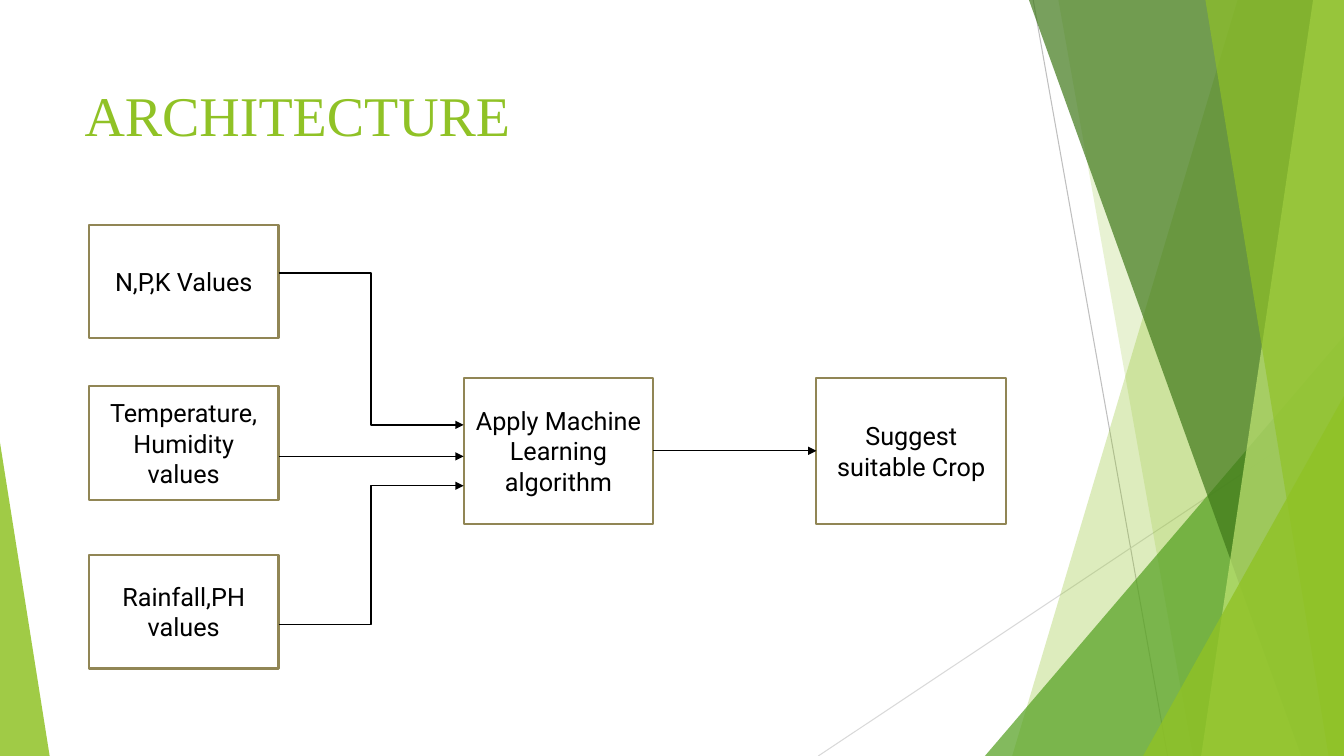
from lxml import etree
from pptx import Presentation
from pptx.dml.color import RGBColor
from pptx.enum.shapes import MSO_CONNECTOR, MSO_SHAPE
from pptx.enum.text import MSO_ANCHOR, PP_ALIGN
from pptx.oxml.ns import qn
from pptx.util import Pt

STRAIGHT, ELBOW = MSO_CONNECTOR.STRAIGHT, MSO_CONNECTOR.ELBOW
RECTANGLE = MSO_SHAPE.RECTANGLE
TOP, MIDDLE = MSO_ANCHOR.TOP, MSO_ANCHOR.MIDDLE
LEFT, CENTER = PP_ALIGN.LEFT, PP_ALIGN.CENTER

WHITE = RGBColor(0xFF, 0xFF, 0xFF)
BLACK = RGBColor(0x00, 0x00, 0x00)
LIME = RGBColor(0x90, 0xC2, 0x26)
GREEN = RGBColor(0x54, 0xA0, 0x21)
FOREST = RGBColor(0x3F, 0x78, 0x19)
PALE_LIME = RGBColor(0xC0, 0xE4, 0x74)
OLIVE = RGBColor(0x91, 0x86, 0x55)
GRAY = RGBColor(0xBF, 0xBF, 0xBF)
LIGHT_GRAY = RGBColor(0xD9, 0xD9, 0xD9)

WIDTH, HEIGHT = 960, 540
TITLE = "ARCHITECTURE"
TITLE_FONT = {"name": "Times New Roman", "size": Pt(40)}
BOX_FONT = {"name": "Roboto", "size": Pt(18)}

HAIRLINES = [
    ((738, 0), (834, HEIGHT), GRAY),
    ((WIDTH, 290), (584.5, HEIGHT), LIGHT_GRAY),
]
RIGHT_FACETS = [
    (884, 0, 723, LIME, 30),
    (756, 0, 852, LIME, 20),
    (WIDTH, 240, 703.5, GREEN, 72),
    (735, 0, 929.5, FOREST, 70),
    (938, 0, 858, PALE_LIME, 70),
    (861, 0, 949, LIME, 65),
    (WIDTH, 283, 816.5, LIME, 80),
]
LEFT_FACET = [(0, 316), (35.5, HEIGHT), (0, HEIGHT)]

BOX_WIDTH, INPUT_HEIGHT, STAGE_HEIGHT = 135.5, 81, 104
INPUT_LEFT, STAGE_TOP = 63.5, 270
INPUTS = [
    ("N,P,K Values", 160.5, 195, 303.5, ELBOW),
    ("Temperature, Humidity values", 276, 326, 326, STRAIGHT),
    ("Rainfall,PH values", 396.5, 446, 347, ELBOW),
]
STAGES = [
    ("Apply Machine Learning algorithm", 331.2),
    ("Suggest suitable Crop", 583.2),
]


def add_line(slide, kind, start, end, color, width, arrow=False):
    line = slide.shapes.add_connector(kind, *(Pt(value) for value in start + end))
    line.line.color.rgb = color
    line.line.width = Pt(width)
    if arrow:
        etree.SubElement(line.line._get_or_add_ln(), qn("a:tailEnd"), type="triangle")
    etree.SubElement(line._element.spPr, qn("a:effectLst"))
    return line


def add_facet(slide, points, color, opacity):
    corners = [(Pt(x), Pt(y)) for x, y in points]
    builder = slide.shapes.build_freeform(*corners[0])
    builder.add_line_segments(corners[1:], close=True)
    facet = builder.convert_to_shape()
    facet.shadow.inherit = False
    facet.fill.solid()
    facet.fill.fore_color.rgb = color
    facet.line.fill.background()
    color_element = facet._element.spPr.find(qn("a:solidFill"))[0]
    etree.SubElement(color_element, qn("a:alpha"), val=str(opacity * 1000))


def write_text(shape, text, font, color, alignment, anchor):
    frame = shape.text_frame
    frame.word_wrap = True
    frame.vertical_anchor = anchor
    paragraph = frame.paragraphs[0]
    paragraph.alignment = alignment
    run = paragraph.add_run()
    run.text = text
    for name, value in font.items():
        setattr(run.font, name, value)
    run.font.color.rgb = color


def add_box(slide, text, left, top, height):
    box = slide.shapes.add_shape(RECTANGLE, Pt(left), Pt(top), Pt(BOX_WIDTH), Pt(height))
    box.shadow.inherit = False
    box.fill.solid()
    box.fill.fore_color.rgb = WHITE
    box.line.color.rgb = OLIVE
    box.line.width = Pt(1.5)
    write_text(box, text, BOX_FONT, BLACK, CENTER, MIDDLE)
    return box


def main():
    presentation = Presentation()
    presentation.slide_width, presentation.slide_height = Pt(WIDTH), Pt(HEIGHT)
    slide = presentation.slides.add_slide(presentation.slide_layouts[6])

    for start, end, color in HAIRLINES:
        add_line(slide, STRAIGHT, start, end, color, 0.75)
    for top_x, top_y, bottom_x, color, opacity in RIGHT_FACETS:
        points = [(top_x, top_y), (WIDTH, top_y), (WIDTH, HEIGHT), (bottom_x, HEIGHT)]
        add_facet(slide, list(dict.fromkeys(points)), color, opacity)
    add_facet(slide, LEFT_FACET, LIME, 85)

    title = slide.shapes.add_textbox(Pt(53.3), Pt(48.2), Pt(677), Pt(80.6))
    title.text_frame.margin_top = Pt(9.5)
    write_text(title, TITLE, TITLE_FONT, LIME, LEFT, TOP)

    model, result = [add_box(slide, text, left, STAGE_TOP, STAGE_HEIGHT) for text, left in STAGES]
    for text, top, start_y, end_y, kind in INPUTS:
        add_box(slide, text, INPUT_LEFT, top, INPUT_HEIGHT)
        start = (INPUT_LEFT + BOX_WIDTH, start_y)
        add_line(slide, kind, start, (STAGES[0][1], end_y), BLACK, 1, arrow=True)

    middle = STAGE_TOP + STAGE_HEIGHT / 2
    start = (STAGES[0][1] + BOX_WIDTH, middle)
    output = add_line(slide, STRAIGHT, start, (STAGES[1][1], middle), BLACK, 1, arrow=True)
    output.begin_connect(model, 3)
    output.end_connect(result, 1)

    presentation.save("out.pptx")


if __name__ == "__main__":
    main()
